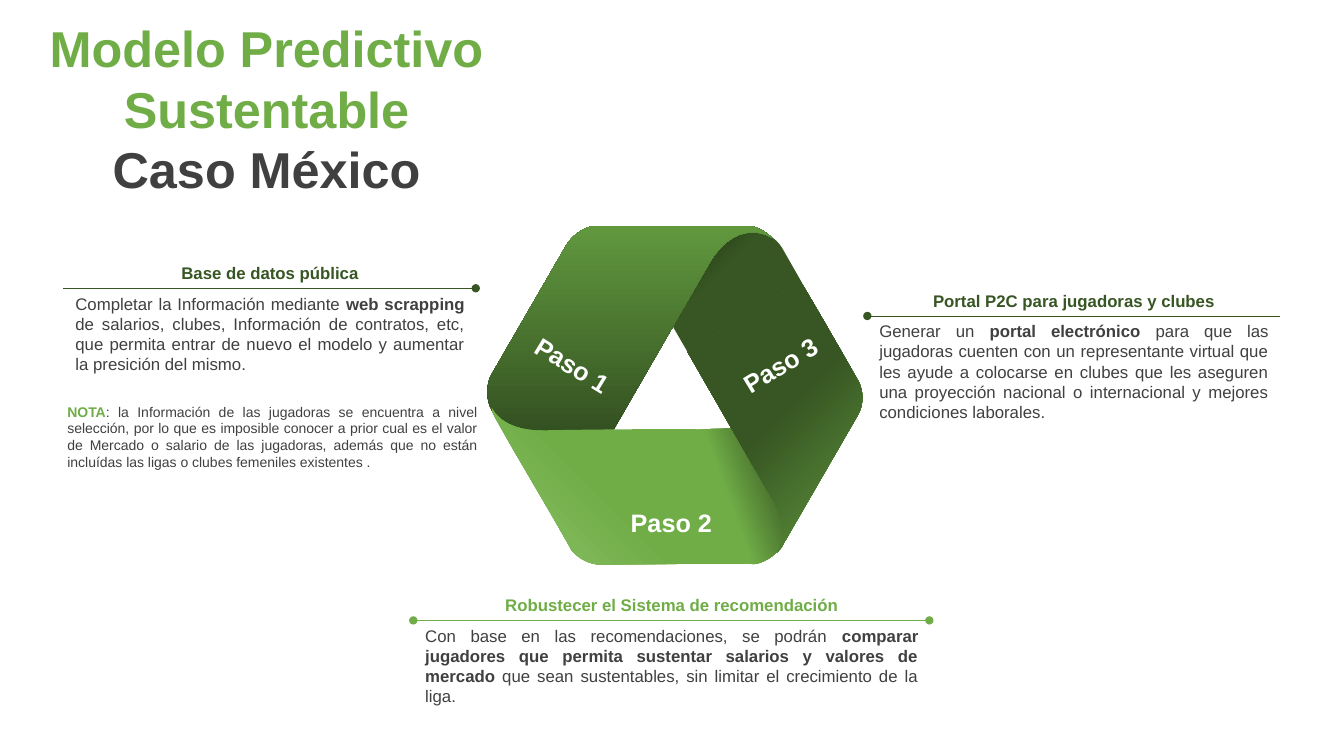
import copy

import lxml.etree
import pptx
import pptx.dml.color
import pptx.enum.shapes
import pptx.enum.text
import pptx.oxml.ns
import pptx.util

CELL = pptx.util.Inches(0.01)
W, H = pptx.util.Emu(12192000), pptx.util.Inches(7.5)
C = {"green": "70AD47", "dark": "375623", "text": "404040", "white": "FFFFFF",
     "shade": "365422", "night": "131E0C", "moss": "406328", "deep": "1A2911",
     "leaf": "61983E", "light": "8DC26A", "fern": "60963D"}
ALIGN = pptx.enum.text.PP_ALIGN
qn = pptx.oxml.ns.qn

RIBBON = [
    ("M 597 228 L 746 228 C 757 228 770 236 776 246 L 830 341 L 719 413 L 633 264 "
     "C 618 237 595 228 574 237 C 581 232 590 228 597 228",
     [(0, "dark"), (59, "shade"), (88, "night")], 225),
    ("M 688 426 C 702 426 736 424 747 427 C 759 431 743 444 755 447 "
     "C 766 450 795 447 815 447 C 828 447 826 446 831 445 L 775 542 "
     "C 769 552 756 560 745 560 L 691 560 C 691 515 688 471 688 426",
     [(0, "green"), (30, "green"), (62, "moss")], 340),
    ("M 488 407 C 562 535 562 535 562 535 C 563 537 564 539 566 541 "
     "C 559 527 560 509 572 490 C 704 261 704 261 704 261 "
     "C 721 232 745 224 766 236 C 759 229 749 224 741 224 "
     "C 592 224 592 224 592 224 C 581 224 568 233 562 243 "
     "C 488 371 488 371 488 371 C 482 381 482 397 488 407",
     [(0, "deep"), (100, "leaf")], 270),
    ("M 488 405 C 495 418 512 427 536 427 C 536 427 645 425 700 426 L 700 560 "
     "L 595 560 C 585 560 574 554 567 546 C 566 545 566 543 565 542 L 549 514 "
     "L 508 444 L 491 414 C 489 411 488 408 488 405",
     [(0, "green"), (50, "green"), (100, "light")], 135),
    ("M 794 279 C 805 297 823 328 851 377 C 857 387 857 402 851 412 "
     "C 851 412 851 412 777 540 C 776 543 773 546 771 548 "
     "C 779 534 778 515 766 495 C 766 495 766 495 682 349",
     [(0, "fern"), (50, "dark"), (100, "dark")], 225),
]


def grid(n):
    return round(CELL * n)


def rgb(name):
    return pptx.dml.color.RGBColor.from_string(C[name])


def add_band(shapes, outline, stops, angle):
    """Draw one ribbon band, joining each curve's three points into a Bezier."""
    tokens = outline.split()
    commands = [t for t in tokens if t.isalpha()]
    numbers = [grid(int(t)) for t in tokens if t.isdigit()]
    points = list(zip(numbers[::2], numbers[1::2]))
    builder = shapes.build_freeform(*points[0], scale=1.0)
    builder.add_line_segments(points[1:], close=True)
    sp = builder.convert_to_shape()

    segments = iter(sp.element.findall(".//" + qn("a:lnTo")))
    for command in commands[1:]:
        first = next(segments)
        if command == "C":
            first.tag = qn("a:cubicBezTo")
            for _ in range(2):
                extra = next(segments)
                first.append(extra[0])
                extra.getparent().remove(extra)

    sp.shadow.inherit = False
    sp.line.fill.background()
    sp.fill.gradient()
    sp.fill.gradient_angle = 360 - angle
    gs_list = sp.element.spPr.find(".//" + qn("a:gsLst"))
    for _ in stops[2:]:
        gs_list.append(copy.deepcopy(gs_list[-1]))
    for stop, (percent, color) in zip(sp.fill.gradient_stops, stops):
        stop.position = percent / 100
        stop.color.rgb = rgb(color)


def add_text(shapes, box, paragraphs, size, align=ALIGN.CENTER, **frame):
    """Write paragraphs of (text, colour, bold) runs in a grid box."""
    sp = shapes.add_textbox(*map(grid, box))
    tf = sp.text_frame
    settings = {"word_wrap": True,
                "auto_size": pptx.enum.text.MSO_AUTO_SIZE.SHAPE_TO_FIT_TEXT, **frame}
    for name, value in settings.items():
        setattr(tf, name, value)
    for i, runs in enumerate(paragraphs):
        p = tf.add_paragraph() if i else tf.paragraphs[0]
        p.alignment = align
        for text, color, bold in runs:
            r = p.add_run()
            r.text = text
            style = {"name": "Arial", "size": pptx.util.Pt(size), "bold": bold}
            for name, value in style.items():
                setattr(r.font, name, value)
            r.font.color.rgb = rgb(color)
    return sp


def add_rule(shapes, x1, x2, y, color, ends):
    line = shapes.add_connector(pptx.enum.shapes.MSO_CONNECTOR.STRAIGHT,
                                grid(x1), grid(y), grid(x2), grid(y))
    line.line.color.rgb = rgb(color)
    line.line.width = pptx.util.Pt(0.5)
    ln = line.element.spPr.find(qn("a:ln"))
    for end in ends:
        lxml.etree.SubElement(ln, qn("a:" + end), type="oval")
    lxml.etree.SubElement(line.element.spPr, qn("a:effectLst"))


def add_callout(s, x, y, w, h, color, heading, body, ends):
    """Group a heading, a dotted rule and the justified text below it."""
    shapes = s.shapes.add_group_shape().shapes
    runs = [(text, "text", i == 1) for i, text in enumerate(body)]
    add_text(shapes, (x, y, w, h), [runs], 12, ALIGN.JUSTIFY)
    add_text(shapes, (x, y - 30, w, 30), [[(heading, color, True)]], 12)
    add_rule(shapes, x - 2, x + w + 1, y, color, ends)


def main():
    prs = pptx.Presentation()
    prs.slide_width, prs.slide_height = W, H
    s = prs.slides.add_slide(prs.slide_layouts[6])

    add_text(s.shapes, (0, 11, 529, 192),
             [[("Modelo Predictivo Sustentable", "green", True)],
              [("Caso México", "text", True)]],
             36, vertical_anchor=pptx.enum.text.MSO_ANCHOR.MIDDLE)

    ribbon = s.shapes.add_group_shape().shapes
    for band in RIBBON:
        add_band(ribbon, *band)
    for label, x, y, turn in (("Paso 1", 502.5, 342, 31.6), ("Paso 3", 708.5, 342, 328.7),
                              ("Paso 2", 600.5, 498, 0)):
        sp = add_text(s.shapes, (x, y, 131, 40), [[(label, "white", True)]], 18)
        sp.rotation = turn

    add_callout(s, 862.5, 313.5, 406, 111, "dark", "Portal P2C para jugadoras y clubes",
                ("Generar un ", "portal electrónico",
                 " para que las jugadoras cuenten con un representante virtual que les "
                 "ayude a colocarse en clubes que les aseguren una proyección nacional o "
                 "internacional y mejores condiciones laborales."), ["headEnd"])
    add_callout(s, 65, 286, 406, 91, "dark", "Base de datos pública",
                ("Completar la Información mediante ", "web scrapping ",
                 "de salarios, clubes, Información de contratos, etc, que permita entrar "
                 "de nuevo el modelo y aumentar la presición del mismo."), ["tailEnd"])
    add_callout(s, 412, 615.5, 509, 91, "green", "Robustecer el Sistema de recomendación",
                ("Con base en las recomendaciones, se podrán ",
                 "comparar jugadores que permita sustentar salarios y valores de mercado ",
                 "que sean sustentables, sin limitar el crecimiento de la liga."),
                ["headEnd", "tailEnd"])

    note = (": la Información de las jugadoras se encuentra a nivel selección, por lo que "
            "es imposible conocer a prior cual es el valor de Mercado o salario de las "
            "jugadoras, además que no están incluídas las ligas o clubes femeniles "
            "existentes .")
    add_text(s.shapes, (57, 395, 426, 77),
             [[("NOTA", "green", True), (note, "text", False)]], 10, ALIGN.JUSTIFY)
    prs.save("out.pptx")


if __name__ == "__main__":
    main()
